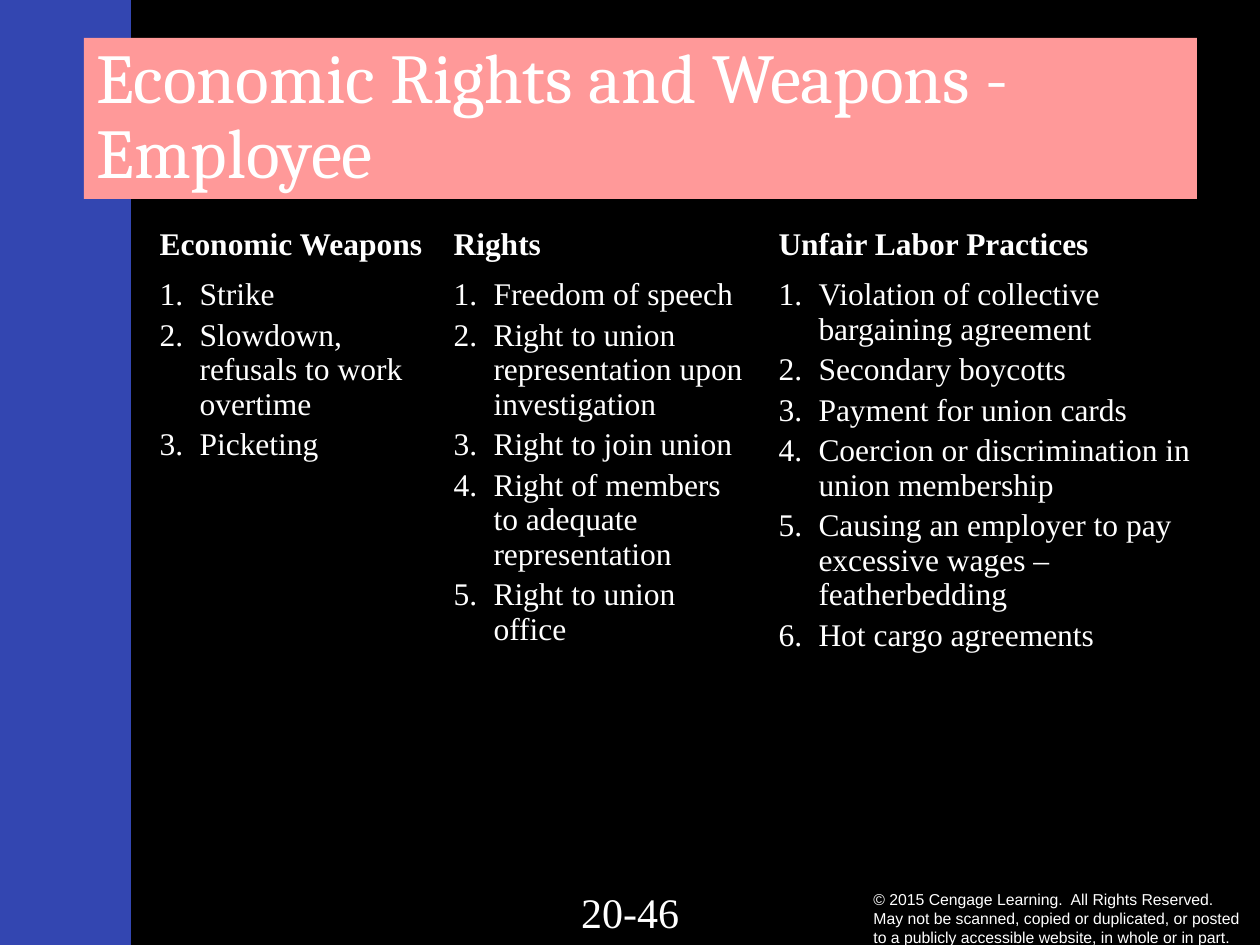
from lxml import etree
from pptx import Presentation
from pptx.dml.color import RGBColor
from pptx.enum.shapes import MSO_SHAPE
from pptx.enum.text import MSO_ANCHOR, PP_ALIGN
from pptx.oxml.ns import qn
from pptx.util import Pt

RECT = MSO_SHAPE.RECTANGLE
TOP, MIDDLE = MSO_ANCHOR.TOP, MSO_ANCHOR.MIDDLE
LEFT, CENTER = PP_ALIGN.LEFT, PP_ALIGN.CENTER

# Content
TITLE = "Economic Rights and Weapons - Employee"
PAGE = "20-46"
COPYRIGHT = ("© 2015 Cengage Learning.  All Rights Reserved.  May not be scanned, "
             "copied or duplicated, or posted to a publicly accessible website, "
             "in whole or in part.")
COLUMNS = [  # heading, width in px, numbered items
    ("Economic Weapons", 294, [
        "Strike",
        "Slowdown, refusals to work overtime",
        "Picketing",
    ]),
    ("Rights", 325, [
        "Freedom of speech",
        "Right to union representation upon investigation",
        "Right to join union",
        "Right of members to adequate representation",
        "Right to union office",
    ]),
    ("Unfair Labor Practices", 441, [
        "Violation of collective bargaining agreement",
        "Secondary boycotts",
        "Payment for union cards",
        "Coercion or discrimination in union membership",
        "Causing an employer to pay excessive wages – featherbedding",
        "Hot cargo agreements",
    ]),
]
ROW_HEIGHTS = [50, 577]
INDENT = 40
COLORS = {"blue": "3346B1", "black": "000000", "pink": "FF9999", "white": "FFFFFF"}
SERIF = "Times New Roman"
NO_GRID_STYLE = "{2D5ABB26-0587-4C30-8999-92F81FD0307C}"


def px(n):
    return round(n * 914400 / 126)


def color(name):
    return RGBColor.from_string(COLORS[name])


def style(p, font, size, bold=False):
    for r in p.runs:
        r.font.name, r.font.size, r.font.bold = font, Pt(size), bold
        r.font.color.rgb = color("white")


def add_text(sp, text, font, size, anchor, align=LEFT):
    tf = sp.text_frame
    tf.word_wrap = True
    tf.vertical_anchor = anchor
    tf.text = text
    p = tf.paragraphs[0]
    p.alignment = align
    style(p, font, size)
    return p


def add_rect(s, fill, *box):
    sp = s.shapes.add_shape(RECT, *map(px, box))
    sp.shadow.inherit = False
    sp.fill.solid()
    sp.fill.fore_color.rgb = color(fill)
    sp.line.fill.background()
    return sp


def number(p):
    pPr = p._p.get_or_add_pPr()
    pPr.set("marL", str(px(INDENT)))
    pPr.set("indent", str(-px(INDENT)))
    etree.SubElement(pPr, qn("a:buFont"), typeface="+mj-lt")
    etree.SubElement(pPr, qn("a:buAutoNum"), type="arabicPeriod")


prs = Presentation()
prs.slide_width, prs.slide_height = px(1260), px(945)
s = prs.slides.add_slide(prs.slide_layouts[6])

# Background and black panel
s.background.fill.solid()
s.background.fill.fore_color.rgb = color("blue")
add_rect(s, "black", 131, 0, 1129, 945)

# Footer
footer = s.shapes.add_textbox(*map(px, (861, 883, 399, 70)))
add_text(footer, COPYRIGHT, "Arial", 9, MIDDLE)
page = s.shapes.add_textbox(*map(px, (483, 880, 294, 65)))
add_text(page, PAGE, SERIF, 24, TOP, CENTER)

# Title
title = add_rect(s, "pink", 84, 38, 1113, 161)
add_text(title, TITLE, "Cambria", 40, MIDDLE).line_spacing = 0.9

# Table of numbered lists
widths = [width for _, width, _ in COLUMNS]
frame = s.shapes.add_table(len(ROW_HEIGHTS), len(COLUMNS), px(147), px(221),
                           px(sum(widths)), px(sum(ROW_HEIGHTS)))
table = frame.table
table._tbl.tblPr.find(qn("a:tableStyleId")).text = NO_GRID_STYLE
table.first_row = table.horz_banding = False
for row, height in zip(table.rows, ROW_HEIGHTS):
    row.height = px(height)
for c, (heading, width, items) in enumerate(COLUMNS):
    table.columns[c].width = px(width)
    head, body = table.cell(0, c), table.cell(1, c)
    head.fill.background()
    body.fill.background()
    head.text_frame.text = heading
    style(head.text_frame.paragraphs[0], SERIF, 18, True)
    body.text_frame.text = "\n".join(items)
    for i, p in enumerate(body.text_frame.paragraphs):
        number(p)
        p.space_before = Pt(3 if i else 0)
        style(p, SERIF, 18)

prs.save("out.pptx")
